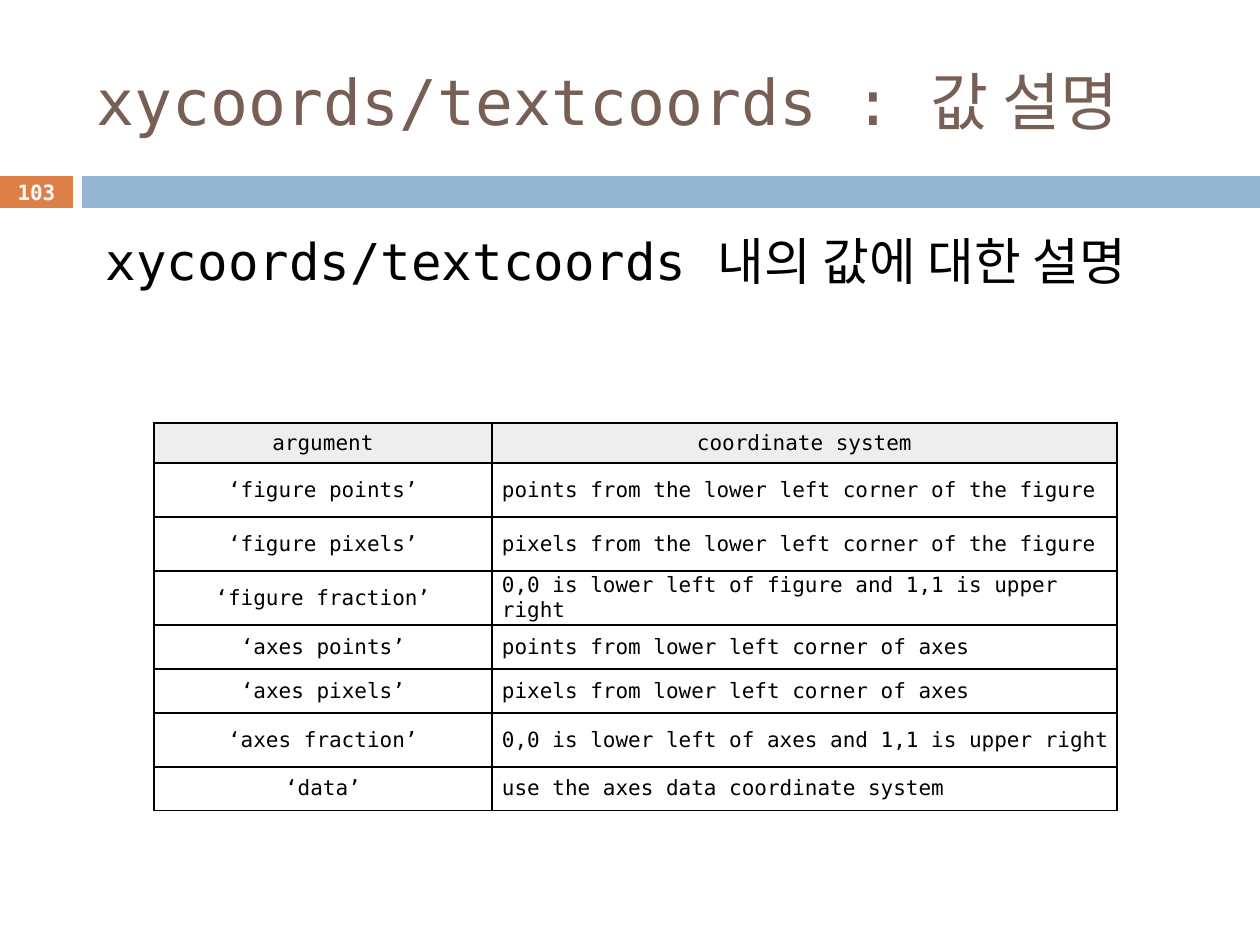
from dataclasses import dataclass

from lxml.etree import SubElement
from pptx import Presentation
from pptx.dml.color import RGBColor
from pptx.enum.shapes import MSO_SHAPE as Shape
from pptx.enum.text import MSO_ANCHOR as Anchor, PP_ALIGN as Align
from pptx.oxml.ns import qn
from pptx.util import Pt

PX = 914400 // 126


@dataclass(frozen=True)
class Theme:
    font: str = "DejaVu Sans Mono"
    title: str = "775F55"
    ink: str = "000000"
    paper: str = "FFFFFF"
    header: str = "EEEEEE"
    orange: str = "DD8047"
    blue: str = "94B6D2"
    title_size: float = 36
    body_size: float = 29
    small_size: float = 12


THEME = Theme()

TITLE = "xycoords/textcoords : 값 설명"
BODY = " xycoords/textcoords 내의 값에 대한 설명"
PAGE_NUMBER = "103"
HEADER = ("argument", "coordinate system")
ROWS = [
    ("‘figure points’", "points from the lower left corner of the figure", 54),
    ("‘figure pixels’", "pixels from the lower left corner of the figure", 54),
    ("‘figure fraction’", "0,0 is lower left of figure and 1,1 is upper right", 54),
    ("‘axes points’", "points from lower left corner of axes", 44),
    ("‘axes pixels’", "pixels from lower left corner of axes", 44),
    ("‘axes fraction’", "0,0 is lower left of axes and 1,1 is upper right", 54),
    ("‘data’", "use the axes data coordinate system", 44),
]
HEADER_HEIGHT = 40
COLUMN_WIDTHS = (338, 625)
TABLE_LEFT, TABLE_TOP = 154, 423
BAR_TOP, BAR_HEIGHT = 176, 32
NUMBER_WIDTH, BAR_LEFT = 73, 82
PAGE_WIDTH, PAGE_HEIGHT = 1260, 945


def color(value):
    return RGBColor.from_string(value)


def write(frame, text, size, ink, align=Align.LEFT, bold=False):
    frame.word_wrap = True
    para = frame.paragraphs[0]
    para.text = text
    para.alignment = align
    for span in para.runs:
        span.font.name = THEME.font
        span.font.size = Pt(size)
        span.font.bold = bold
        span.font.color.rgb = color(ink)
    return para


def add_bar(page, left, width, fill):
    bar = page.shapes.add_shape(
        Shape.RECTANGLE, left * PX, BAR_TOP * PX, width * PX, BAR_HEIGHT * PX
    )
    bar.shadow.inherit = False
    bar.fill.solid()
    bar.fill.fore_color.rgb = color(fill)
    bar.line.fill.background()
    return bar


def add_text(page, box, text, size, ink, anchor):
    shape = page.shapes.add_textbox(*(length * PX for length in box))
    shape.text_frame.vertical_anchor = anchor
    return write(shape.text_frame, text, size, ink)


def add_borders(cell):
    properties = cell._tc.get_or_add_tcPr()
    for position, side in enumerate(("a:lnL", "a:lnR", "a:lnT", "a:lnB")):
        line = SubElement(properties, qn(side), w=str(Pt(1)))
        fill = SubElement(line, qn("a:solidFill"))
        SubElement(fill, qn("a:srgbClr"), val=THEME.ink)
        properties.remove(line)
        properties.insert(position, line)


def fill_cell(cell, text, fill, align, left_margin):
    cell.fill.solid()
    cell.fill.fore_color.rgb = color(fill)
    cell.vertical_anchor = Anchor.MIDDLE
    cell.margin_left = left_margin * PX
    cell.margin_right = 2 * PX
    cell.margin_top = cell.margin_bottom = PX
    write(cell.text_frame, text, THEME.small_size, THEME.ink, align)
    add_borders(cell)


def add_coordinate_table(page):
    heights = [HEADER_HEIGHT] + [height for *_, height in ROWS]
    table = page.shapes.add_table(
        len(heights), len(COLUMN_WIDTHS), TABLE_LEFT * PX, TABLE_TOP * PX,
        sum(COLUMN_WIDTHS) * PX, sum(heights) * PX,
    ).table
    for column, width in zip(table.columns, COLUMN_WIDTHS):
        column.width = width * PX
    for row, height in zip(table.rows, heights):
        row.height = height * PX
    for index, text in enumerate(HEADER):
        fill_cell(table.cell(0, index), text, THEME.header, Align.CENTER, 2)
    for index, (argument, system, _) in enumerate(ROWS, 1):
        fill_cell(table.cell(index, 0), argument, THEME.paper, Align.CENTER, 2)
        fill_cell(table.cell(index, 1), system, THEME.paper, Align.LEFT, 10)


def main():
    deck = Presentation()
    deck.slide_width, deck.slide_height = PAGE_WIDTH * PX, PAGE_HEIGHT * PX
    page = deck.slides.add_slide(deck.slide_layouts[6])

    number = add_bar(page, 0, NUMBER_WIDTH, THEME.orange)
    add_bar(page, BAR_LEFT, PAGE_WIDTH - BAR_LEFT, THEME.blue)
    number.text_frame.vertical_anchor = Anchor.MIDDLE
    write(number.text_frame, PAGE_NUMBER, THEME.small_size, THEME.paper, Align.CENTER, True)

    add_text(page, (84, 32, 1124, 136), TITLE, THEME.title_size, THEME.title, Anchor.MIDDLE)
    body = add_text(page, (63, 224, 1134, 228), BODY, THEME.body_size, THEME.ink, Anchor.TOP)
    body.space_before = Pt(7)
    add_coordinate_table(page)
    deck.save("out.pptx")


if __name__ == "__main__":
    main()
